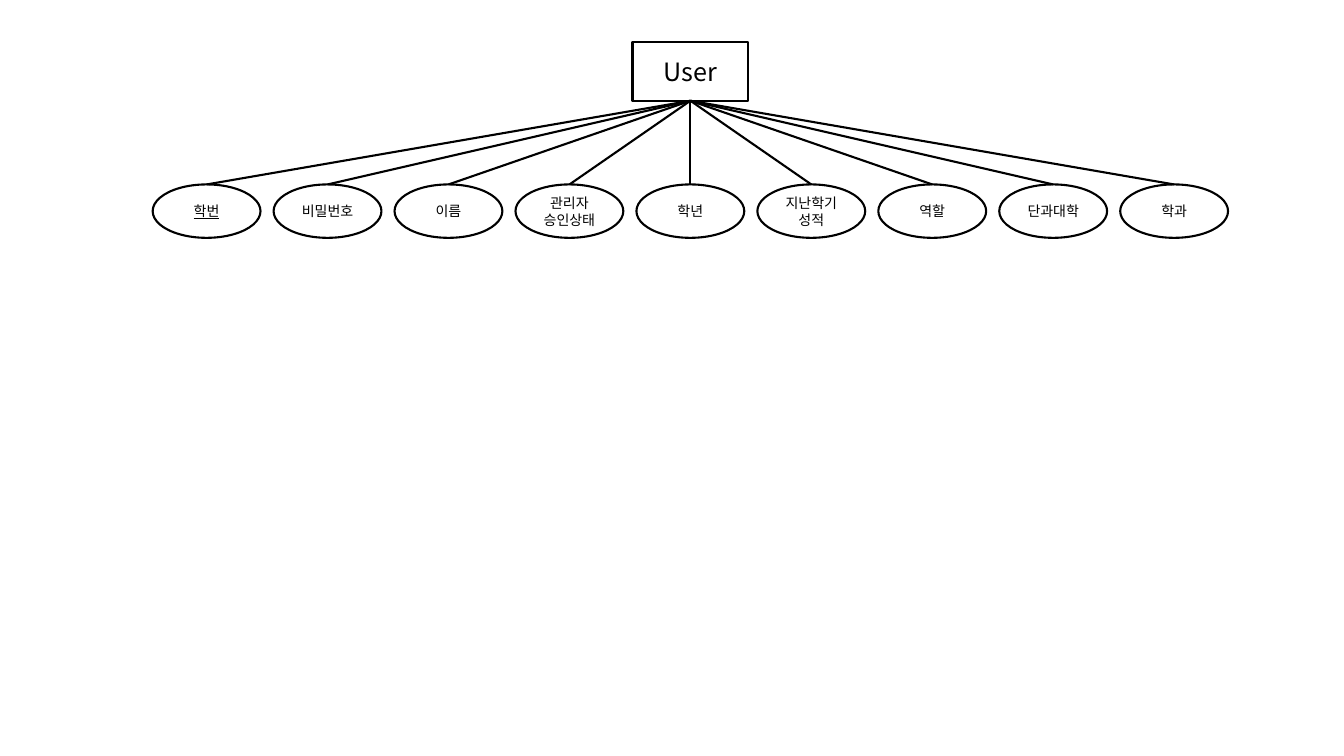
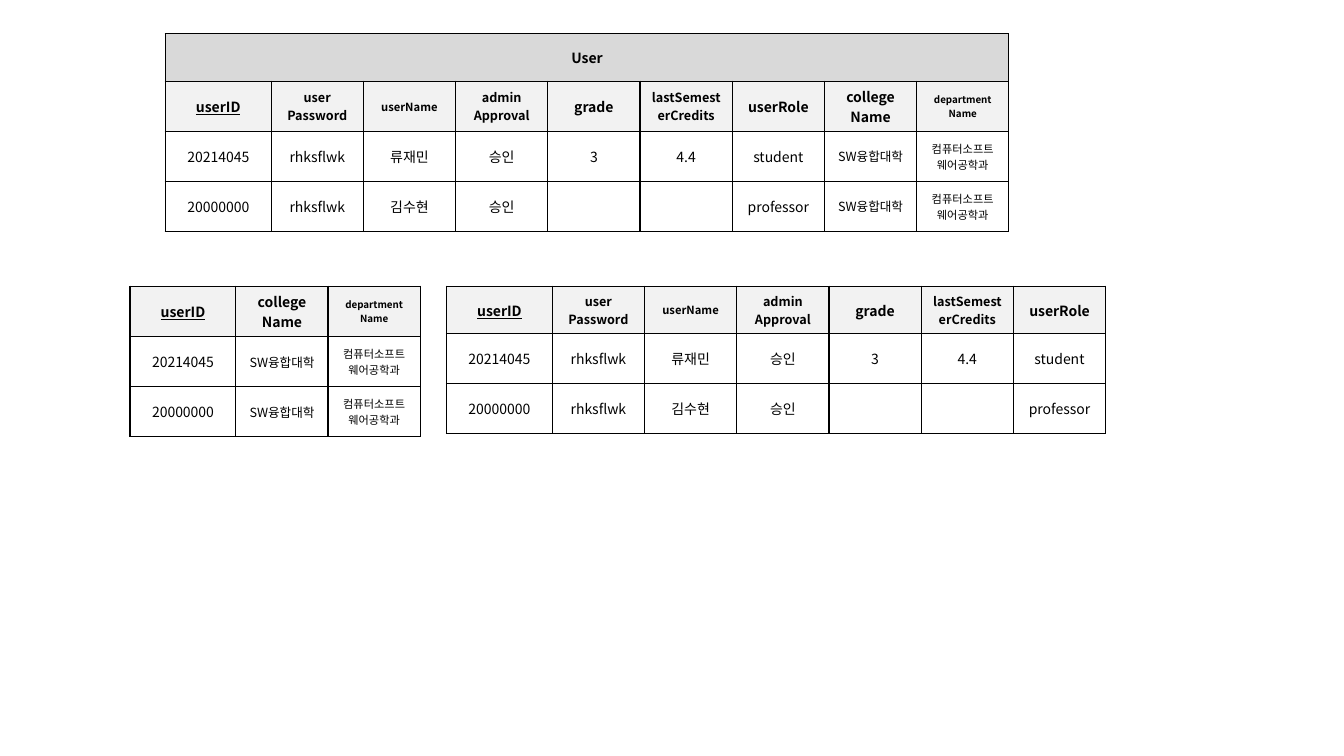
from lxml import etree
from pptx import Presentation
from pptx.dml.color import RGBColor
from pptx.enum.shapes import MSO_CONNECTOR, MSO_SHAPE
from pptx.enum.text import MSO_ANCHOR, PP_ALIGN
from pptx.oxml.ns import qn
from pptx.util import Pt

PX = 4572  # EMU per px, 200 px to the inch
FONT = "Noto Sans CJK KR"
COLORS = {"ink": "000000", "paper": "FFFFFF", "title": "D9D9D9", "header": "F2F2F2"}

ATTRIBUTES = ["학번", "비밀번호", "이름", "관리자\n승인상태", "학년",
              "지난학기 성적", "역할", "단과대학", "학과"]

# column: (header, header size, values, value size)
FIELDS = {
    "id": ("userID", 10, ["20214045", "20000000"], 10),
    "password": ("user\nPassword", 9, ["rhksflwk", "rhksflwk"], 10),
    "name": ("userName", 8, ["류재민", "김수현"], 10),
    "approval": ("admin\nApproval", 9, ["승인", "승인"], 10),
    "grade": ("grade", 10, ["3", ""], 10),
    "credits": ("lastSemesterCredits", 9, ["4.4", ""], 10),
    "role": ("userRole", 10, ["student", "professor"], 10),
    "college": ("college\nName", 10, ["SW융합대학"] * 2, 9),
    "department": ("department\nName", 7, ["컴퓨터소프트웨어공학과"] * 2, 8),
}
PERSONAL = ["id", "password", "name", "approval", "grade", "credits", "role"]
AFFILIATION = ["id", "college", "department"]
KEY_WIDTH, FIELD_WIDTH = 210, 183
TITLE_HEIGHT, HEADER_HEIGHT, VALUE_HEIGHT = 94, 94, 99


def px(n):
    return n * PX


def color(name):
    return RGBColor.from_string(COLORS[name])


def write(tf, text, size, bold=False, underline=False):
    """Fill a text frame with centred paragraphs, one per line of text."""
    for i, line in enumerate(text.split("\n")):
        p = tf.add_paragraph() if i else tf.paragraphs[0]
        p.alignment = PP_ALIGN.CENTER
        if not line:
            continue
        r = p.add_run()
        r.text = line
        r.font.size = Pt(size)
        r.font.name = FONT
        r.font.bold = bold
        r.font.underline = underline
        r.font.color.rgb = color("ink")
        ea = etree.SubElement(r.font._element, qn("a:ea"))
        ea.set("typeface", FONT)


def add_node(s, kind, box, text, size, underline=False):
    sp = s.shapes.add_shape(kind, *map(px, box))
    sp.shadow.inherit = False
    sp.fill.solid()
    sp.fill.fore_color.rgb = color("paper")
    sp.line.color.rgb = color("ink")
    sp.line.width = Pt(1.5)
    sp.text_frame.word_wrap = True
    sp.text_frame.vertical_anchor = MSO_ANCHOR.MIDDLE
    write(sp.text_frame, text, size, underline=underline)
    return sp


def link(s, attribute, entity):
    """Join the top of an attribute to the bottom of its entity."""
    line = s.shapes.add_connector(MSO_CONNECTOR.STRAIGHT, 0, 0, 0, 0)
    line.begin_connect(attribute, 0)
    line.end_connect(entity, 2)
    line.line.color.rgb = color("ink")
    line.line.width = Pt(1.5)
    etree.SubElement(line._element.spPr, qn("a:effectLst"))


def set_borders(cell, top, bottom):
    """Draw all four borders; top and bottom are widths in points."""
    tc_pr = cell._tc.get_or_add_tcPr()
    for side, width in (("L", 1), ("R", 1), ("T", top), ("B", bottom)):
        ln = etree.SubElement(tc_pr, qn("a:ln" + side), w=str(Pt(width)))
        fill = etree.SubElement(ln, qn("a:solidFill"))
        etree.SubElement(fill, qn("a:srgbClr"), val=COLORS["ink"])


def fill_cell(cell, text, size, fill="paper", top=1, bottom=1, **style):
    set_borders(cell, top, bottom)
    cell.fill.solid()
    cell.fill.fore_color.rgb = color(fill)
    cell.vertical_anchor = MSO_ANCHOR.MIDDLE
    write(cell.text_frame, text, size, **style)


def add_relation(s, left, top, keys, title=None):
    """Add a table of the named fields, with an optional title row."""
    heights = [HEADER_HEIGHT, VALUE_HEIGHT, VALUE_HEIGHT]
    if title:
        heights.insert(0, TITLE_HEIGHT)
    widths = [KEY_WIDTH] + [FIELD_WIDTH] * (len(keys) - 1)
    frame = s.shapes.add_table(len(heights), len(widths), px(left), px(top),
                               px(sum(widths)), px(sum(heights)))
    table = frame.table
    for row, height in zip(table.rows, heights):
        row.height = px(height)
    for column, width in zip(table.columns, widths):
        column.width = px(width)

    first = 0
    if title:
        first = 1
        for c in range(len(keys)):
            fill_cell(table.cell(0, c), "" if c else title, 10, "title", bold=True)
        table.cell(0, 0).merge(table.cell(0, len(keys) - 1))
    for c, key in enumerate(keys):
        header, header_size, values, size = FIELDS[key]
        fill_cell(table.cell(first, c), header, header_size, "header",
                  bold=True, underline=key == "id")
        upper, lower = values
        fill_cell(table.cell(first + 1, c), upper, size, bottom=0.5)
        fill_cell(table.cell(first + 2, c), lower, size, top=0.5)


def build_entity_slide(s):
    entity = add_node(s, MSO_SHAPE.RECTANGLE, (1255, 84, 230, 116), "User", 18)
    for i, name in enumerate(ATTRIBUTES):
        node = add_node(s, MSO_SHAPE.OVAL, (303 + 240 * i, 366, 214, 106), name, 10,
                        underline=i == 0)
        link(s, node, entity)


def build_relation_slide(s):
    add_relation(s, 328, 67, list(FIELDS), title="User")
    add_relation(s, 258, 568, AFFILIATION)
    add_relation(s, 886, 568, PERSONAL)


def main():
    prs = Presentation()
    prs.slide_width, prs.slide_height = px(2667), px(1500)
    for build in (build_entity_slide, build_relation_slide):
        build(prs.slides.add_slide(prs.slide_layouts[6]))
    prs.save("out.pptx")


if __name__ == "__main__":
    main()
